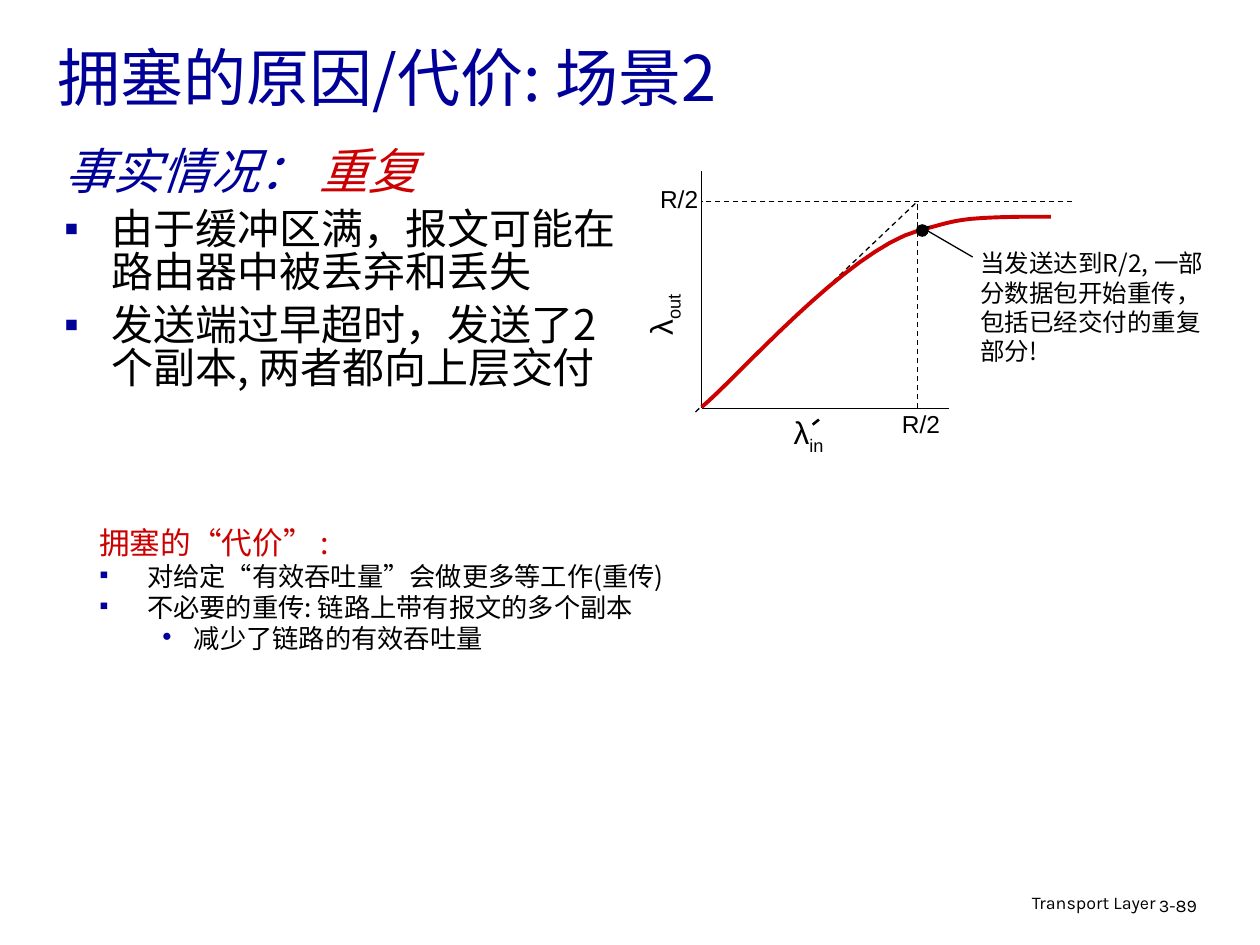
from dataclasses import dataclass

from lxml import etree
from pptx import Presentation
from pptx import util as u
from pptx.dml.color import RGBColor
from pptx.enum import dml, shapes, text
from pptx.oxml import ns


@dataclass(frozen=True)
class Theme:
    blue: str = "000099"
    red: str = "CC0000"
    black: str = "000000"
    sans: str = "Noto Sans CJK SC"
    plain: str = "Arial"
    foot: str = "Karla"
    title: float = 36
    head: float = 28
    body: float = 24
    cost: float = 17.5
    item: float = 15
    label: float = 14
    axis: float = 18
    small: float = 10.2


T = Theme()


def color(code):
    return RGBColor.from_string(code)


def child(parent, tag, **attrs):
    return etree.SubElement(parent, ns.qn(tag), attrs)


def frame(slide, x, y, w, h, wrap=True):
    box = slide.shapes.add_textbox(*map(u.Inches, (x, y, w, h)))
    box.text_frame.word_wrap = wrap
    return box


def style(para, size, ink, face):
    font = para.font
    font.size, font.name = u.Pt(size), face
    font.color.rgb = color(ink)
    child(font._element, "a:ea", typeface=face)


def write(box, words, size, ink=T.black, face=T.sans, new=False):
    body = box.text_frame
    para = body.add_paragraph() if new else body.paragraphs[0]
    para.add_run().text = words
    style(para, size, ink, face)
    return para


def bullet(box, words, size, space, mark="▪", left=0.38, hang=0.38, level=0):
    para = box.text_frame.add_paragraph()
    para.level, para.line_spacing, para.space_before = level, space, u.Pt(6)
    props = para._p.get_or_add_pPr()
    props.set("marL", str(u.Inches(left)))
    props.set("indent", str(-u.Inches(hang)))
    child(child(props, "a:buClr"), "a:srgbClr", val=T.blue)
    child(props, "a:buFont", typeface=T.plain)
    child(props, "a:buChar", char=mark)
    para.add_run().text = words
    style(para, size, T.black, T.sans)


def line(slide, start, end, width=0.75, dash=False, arrow=False):
    points = map(u.Inches, (*start, *end))
    link = slide.shapes.add_connector(shapes.MSO_CONNECTOR.STRAIGHT, *points)
    link.line.color.rgb = color(T.black)
    link.line.width = u.Pt(width)
    if dash:
        link.line.dash_style = dml.MSO_LINE.DASH
    if arrow:
        child(link.line._get_or_add_ln(), "a:tailEnd", type="triangle")
    child(link._element.spPr, "a:effectLst")


def symbol(slide, x, y, w, h, sub, turn=0):
    box = frame(slide, x, y, w, h, wrap=bool(turn))
    box.rotation = turn
    para = write(box, "λ", T.axis, face=T.plain)
    run = para.add_run()
    run.text = sub
    run.font._element.set("baseline", "-25000")


def bezier(a, b, c, d, steps=16):
    for i in range(1, steps + 1):
        t = i / steps
        s = 1 - t
        yield tuple(s**3 * p + 3 * s * s * t * q + 3 * s * t * t * r + t**3 * v
                    for p, q, r, v in zip(a, b, c, d))


def curve(slide, x, y):
    knots = [(0, 1.87), (0.28, 1.64), (1.15, 0.63), (1.72, 0.47),
             (2.03, 0.39), (2.01, 0.37), (2.54, 0.36),
             (2.77, 0.36), (2.72, 0.36), (2.77, 0.36)]
    knots = [(x + dx, y + dy) for dx, dy in knots]
    points = [p for i in range(0, 9, 3) for p in bezier(*knots[i:i + 4])]
    path = slide.shapes.build_freeform(*map(u.Inches, knots[0]), scale=1.0)
    path.add_line_segments([tuple(map(u.Inches, p)) for p in points], close=False)
    flow = path.convert_to_shape()
    flow.shadow.inherit = False
    flow.fill.background()
    flow.line.color.rgb = color(T.red)
    flow.line.width = u.Pt(2.25)


def title(slide, x, y, w, h):
    box = frame(slide, x, y, w, h)
    box.text_frame.vertical_anchor = text.MSO_ANCHOR.MIDDLE
    write(box, "拥塞的原因/代价: 场景2", T.title, T.blue)


def facts(slide, x, y, w, h):
    box = frame(slide, x, y, w, h)
    para = write(box, "事实情况： ", T.head, T.blue)
    para.line_spacing = 0.85
    para.font.italic = True
    run = para.add_run()
    run.text = "重复"
    run.font.color.rgb = color(T.red)
    for words in ("由于缓冲区满，报文可能在路由器中被丢弃和丢失",
                  "发送端过早超时，发送了2个副本, 两者都向上层交付"):
        bullet(box, words, T.body, 0.85)


def costs(slide, x, y, w, h):
    box = frame(slide, x, y, w, h)
    write(box, "拥塞的“代价” :", T.cost, T.red).line_spacing = 0.65
    for words in ("对给定“有效吞吐量”会做更多等工作(重传)",
                  "不必要的重传: 链路上带有报文的多个副本"):
        bullet(box, words, T.item, 0.65)
    bullet(box, "减少了链路的有效吞吐量", T.item, 0.65, "•", 0.75, 0.25, 1)


def graph(slide, x, y, w, h):
    base, limit, half = y + h, y + 0.24, x + 1.71
    line(slide, (x, y), (x, base))
    line(slide, (x + w, base), (x, base))
    line(slide, (x + 2.94, limit), (x, limit), dash=True)
    line(slide, (x - 0.05, base + 0.03), (half, limit), dash=True)
    curve(slide, x, y)
    for left, top in ((x - 0.43, limit - 0.19), (half - 0.22, base - 0.04)):
        write(frame(slide, left, top, 0.5, 0.34, wrap=False),
              "R/2", T.label, face=T.plain)
    symbol(slide, x - 0.65, y + 0.84, 0.68, 0.44, "out", 270)
    symbol(slide, x + 0.63, base - 0.01, 0.45, 0.44, "in")
    line(slide, (x + 0.88, base + 0.13), (x + 0.93, base + 0.09), 1.5)
    line(slide, (half, base), (half, limit), dash=True)
    dot = slide.shapes.add_shape(shapes.MSO_SHAPE.OVAL, *map(
        u.Inches, (half - 0.01, y + 0.42, 0.1, 0.1)))
    dot.shadow.inherit = False
    dot.fill.solid()
    dot.fill.fore_color.rgb = color(T.black)
    dot.line.fill.background()
    write(frame(slide, x + 2.11, y + 0.56, 2.06, 1.04),
          "当发送达到R/2, 一部分数据包开始重传，包括已经交付的重复部分!", T.label)
    line(slide, (x + 2.15, y + 0.68), (half + 0.01, y + 0.43), arrow=True)


def footer(slide, x, y, w, h):
    para = write(frame(slide, x, y, w, h), "Transport Layer", T.small, face=T.foot)
    para.alignment = text.PP_ALIGN.RIGHT
    page = write(frame(slide, x + 3, y + 0.02, 0.74, h), "3-89", T.small, face=T.foot)
    para.line_spacing = page.line_spacing = 0.9


def main():
    deck = Presentation()
    deck.slide_width, deck.slide_height = u.Inches(10), u.Inches(7.5)
    slide = deck.slides.add_slide(deck.slide_layouts[6])
    footer(slide, 6.1, 7.05, 3.17, 0.31)
    graph(slide, 5.57, 1.36, 1.96, 1.88)
    costs(slide, 0.69, 4.2, 8.91, 1.08)
    title(slide, 0.36, 0.13, 8.5, 0.95)
    facts(slide, 0.41, 1.14, 4.71, 2.1)
    deck.save("out.pptx")


if __name__ == "__main__":
    main()
